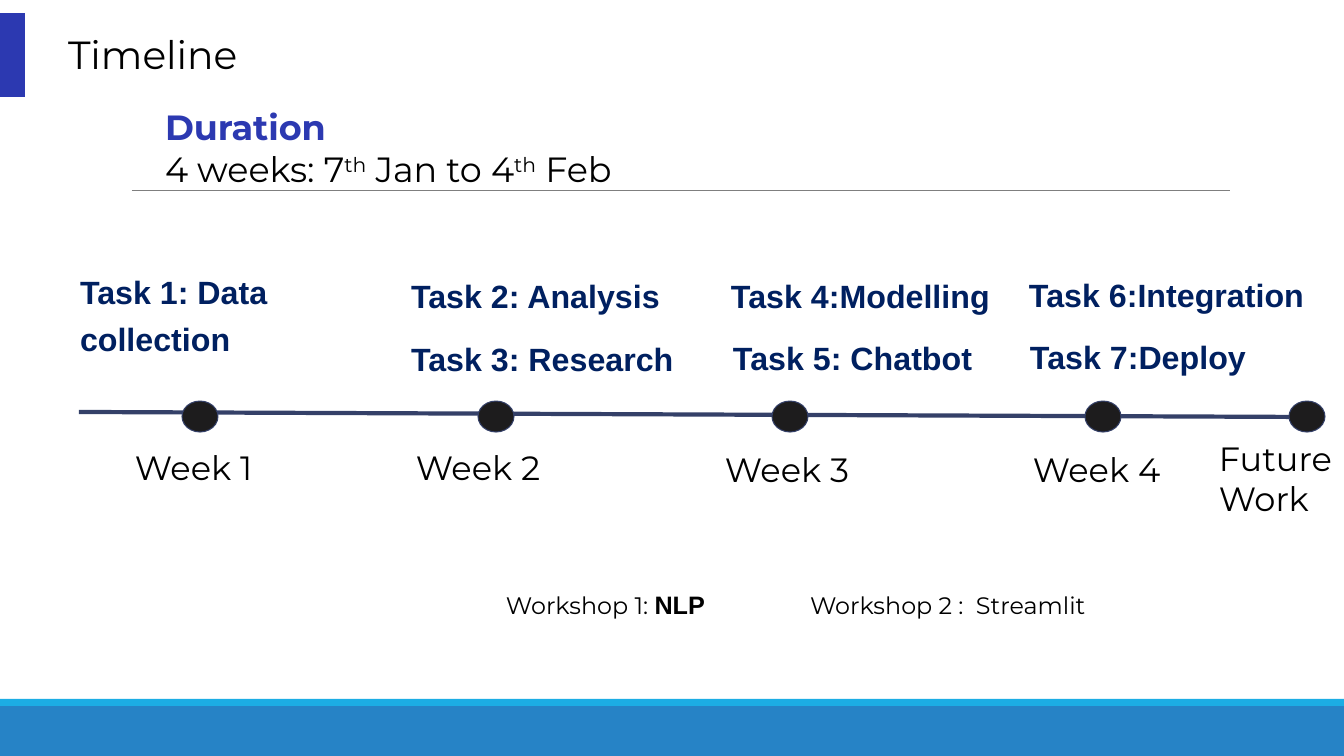
import pptx
import pptx.util
import pptx.dml.color
import pptx.enum.shapes
import pptx.enum.text
import lxml.etree

RGBColor = pptx.dml.color.RGBColor
SHAPE = pptx.enum.shapes.MSO_SHAPE
ANCHOR = pptx.enum.text.MSO_ANCHOR

BLACK = RGBColor(0x00, 0x00, 0x00)
INDIGO = RGBColor(0x2C, 0x39, 0xB1)
NAVY = RGBColor(0x00, 0x20, 0x60)
SLATE = RGBColor(0x34, 0x40, 0x68)
GREY = RGBColor(0x7F, 0x7F, 0x7F)
CHARCOAL = RGBColor(0x1D, 0x1C, 0x1D)
SKY = RGBColor(0x1C, 0xAD, 0xE4)
BLUE = RGBColor(0x26, 0x83, 0xC6)

WIDTH, HEIGHT = 1344, 756
TIGHT, ROOMY = 3, 13

# Offsets from the timeline's box: dot left, (label left, top, width), tasks
WEEKS = [
    ("Week 1", 103, (53, 180, 137), [("Task 1: Data collection", -29, 0, 117)]),
    ("Week 2", 399, (334, 180, 137), [("Task 2: Analysis", 302, 4, 70),
                                      ("Task 3: Research", 302, 67, 70)]),
    ("Week 3", 693, (643, 182, 137), [("Task 4:Modelling", 622, 4, 70),
                                      ("Task 5: Chatbot", 624, 66, 70)]),
    ("Week 4", 1006, (951, 182, 157), [("Task 6:Integration", 920, 3, 70),
                                       ("Task 7:Deploy", 921, 65, 70)]),
    ("Future Work", 1210, (1137, 191, 128), []),
]


def px(*lengths):
    """Turn pixels into EMU."""
    return [pptx.util.Emu(round(length * 914400 / 100.8)) for length in lengths]


def write(paragraph, text, size=24, font="Montserrat", color=BLACK, bold=False,
          raised=False):
    run = paragraph.add_run()
    run.text = text
    run.font.size = pptx.util.Pt(size)
    run.font.name = font
    run.font.color.rgb = color
    run.font.bold = bold
    if raised:
        run.font._element.set("baseline", "30000")


def prepare_frame(frame, inset, anchor):
    frame.word_wrap = True
    frame.auto_size = pptx.enum.text.MSO_AUTO_SIZE.NONE
    frame.vertical_anchor = anchor
    margin, = px(inset)
    frame.margin_left = frame.margin_right = margin
    frame.margin_top = frame.margin_bottom = margin
    frame.paragraphs[0].alignment = pptx.enum.text.PP_ALIGN.LEFT
    return frame


def add_frame(slide, box, inset=TIGHT, anchor=ANCHOR.MIDDLE):
    return prepare_frame(slide.shapes.add_textbox(*px(*box)).text_frame, inset, anchor)


def add_filled(slide, kind, box, fill, outline=None):
    shape = slide.shapes.add_shape(kind, *px(*box))
    shape.shadow.inherit = False
    shape.fill.solid()
    shape.fill.fore_color.rgb = fill
    if outline is None:
        shape.line.fill.background()
    else:
        shape.line.color.rgb = outline
        shape.line.width = pptx.util.Pt(0.75)


def add_line(slide, ends, color, weight):
    line = slide.shapes.add_connector(pptx.enum.shapes.MSO_CONNECTOR.STRAIGHT, *px(*ends))
    line.line.color.rgb = color
    line.line.width = pptx.util.Pt(weight)
    lxml.etree.SubElement(line._element.spPr, pptx.oxml.ns.qn("a:effectLst"))


def add_footer(slide, left, top, width, height):
    band = 7
    add_filled(slide, SHAPE.RECTANGLE, (left, top + band, width, height - band), BLUE)
    add_filled(slide, SHAPE.RECTANGLE, (left, top, width, band), SKY)


def add_heading(slide, left, top, width, height):
    add_filled(slide, SHAPE.RECTANGLE, (left, top + 13, 25, 84), INDIGO)
    title = slide.shapes.title
    title.left, title.top, title.width, title.height = px(left + 65, top, width - 65, height)
    frame = prepare_frame(title.text_frame, TIGHT, ANCHOR.MIDDLE)
    write(frame.paragraphs[0], "Timeline", size=28)


def add_duration(slide, left, top, width, height):
    add_line(slide, (left, top + 98, left + width, top + 98), GREY, 0.75)
    frame = add_frame(slide, (left + 20, top, 500, height), ROOMY, ANCHOR.TOP)
    write(frame.paragraphs[0], "Duration", size=25, color=INDIGO, bold=True)
    dates = frame.add_paragraph()
    for text in ("4 weeks: 7", "th", " Jan to 4", "th", " Feb"):
        write(dates, text, size=25, raised=text == "th")


def add_task(slide, text, box):
    task = add_frame(slide, box, ROOMY, ANCHOR.TOP).paragraphs[0]
    task._p.get_or_add_pPr().set("marL", str(px(17)[0]))
    task.line_spacing = 1.2
    write(task, text, size=23, font="Arial", color=NAVY, bold=True)


def add_timeline(slide, left, top, width):
    add_line(slide, (left, top + 160, left + width, top + 165), SLATE, 3)
    for name, dot, (label, label_top, label_width), tasks in WEEKS:
        add_filled(slide, SHAPE.OVAL, (left + dot, top + 149, 36, 31), CHARCOAL, SLATE)
        frame = add_frame(slide, (left + label, top + label_top, label_width, 70))
        write(frame.paragraphs[0], name)
        for text, task_left, task_top, task_height in tasks:
            add_task(slide, text,
                     (left + task_left, top + task_top, 320, task_height))


def add_workshops(slide, left, top, height):
    first = add_frame(slide, (left, top, 290, height)).paragraphs[0]
    write(first, "Workshop 1: ", size=17)
    write(first, "NLP", size=18, font="Arial", bold=True)
    second = add_frame(slide, (left + 304, top, 420, height)).paragraphs[0]
    write(second, "Workshop 2 :  Streamlit", size=17)


def main():
    deck = pptx.Presentation()
    deck.slide_width, deck.slide_height = px(WIDTH, HEIGHT)
    slide = deck.slides.add_slide(deck.slide_layouts.get_by_name("Title Only"))
    add_footer(slide, 0, 699, WIDTH, HEIGHT - 699)
    add_heading(slide, 0, 0, WIDTH, 107)
    add_duration(slide, 132, 93, 1098, 112)
    add_timeline(slide, 79, 252, 1225)
    add_workshops(slide, 503, 574, 61)
    deck.save("out.pptx")


if __name__ == "__main__":
    main()
